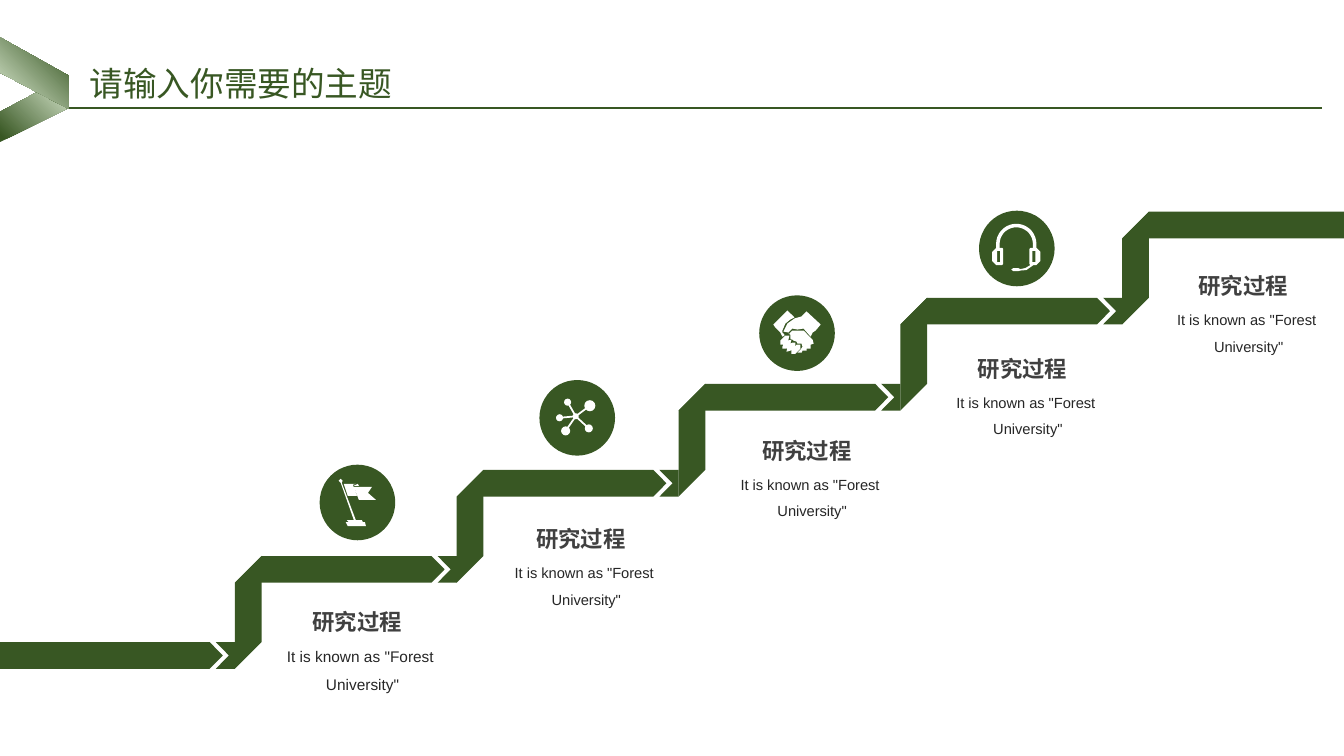
import math

import pptx
import pptx.dml.color
import pptx.enum.shapes
import pptx.enum.text
import pptx.oxml.ns
import pptx.util
from lxml import etree

RGBColor = pptx.dml.color.RGBColor
GREEN = RGBColor(0x38, 0x57, 0x23)
PALE_GREEN = RGBColor(0xE2, 0xF0, 0xD9)
WHITE = RGBColor(0xFF, 0xFF, 0xFF)
HEADING_GREY = RGBColor(0x40, 0x40, 0x40)
CAPTION_GREY = RGBColor(0x26, 0x26, 0x26)
CJK_FONT = "Noto Sans CJK SC"

# Staircase grid, in inches
SLIDE_WIDTH, SLIDE_HEIGHT = 13.33, 7.5
COLUMN, ROW = 2.2, 0.854
BAND = 0.265
FIRST_TREAD_LEFT, FIRST_TREAD_TOP = 0.13, 6.37
STEP_COUNT = 5
BADGE = 0.75

# Left and top of each caption; its heading hangs off the same point
CAPTION_PLACES = [(2.7, 6.33), (4.92, 5.51), (7.16, 4.63), (9.3, 3.82), (11.49, 3.0)]

# Icon outlines, in hundredths of an inch from the badge corner
FLAG = [
    [(45, 57), (46, 61), (28, 61), (26, 57), (29, 57), (27, 55), (34, 55), (21, 18),
     (19, 16), (21, 14), (23, 16), (22, 18), (36, 55), (42, 55), (43, 57)],
    [(37, 31), (33, 20), (36, 19), (24, 19), (28, 31)],
    [(34, 22), (39, 35), (56, 35), (48, 28), (52, 22)],
    [(39, 21), (38, 19), (34, 21)],
]
HANDSHAKE = [
    [(20, 36), (18, 34), (16, 32), (14, 29), (28, 15), (35, 22), (31, 24), (26, 28),
     (23, 35), (23, 37), (25, 39), (25, 40), (23, 41), (22, 39), (21, 37)],
    [(44, 35), (33, 35), (30, 38), (29, 38), (31, 39), (31, 43), (33, 44), (34, 45),
     (37, 46), (38, 48), (42, 48), (43, 51), (41, 54), (38, 57), (42, 57), (43, 55),
     (47, 55), (47, 53), (51, 53), (51, 49), (54, 48), (53, 44)],
    [(41, 49), (37, 49), (36, 51), (36, 47), (33, 47), (31, 48), (32, 44), (28, 45),
     (29, 44), (30, 40), (26, 40), (21, 45), (21, 49), (24, 49), (23, 51), (23, 53),
     (27, 53), (28, 52), (27, 56), (31, 55), (32, 54), (32, 58), (36, 58), (41, 53)],
    [(47, 16), (42, 21), (35, 23), (28, 28), (24, 36), (29, 37), (33, 33), (38, 34),
     (44, 33), (51, 41), (53, 37), (56, 35), (61, 29)],
]
EAR_CUP = [(17, 37), (23, 37), (24, 38), (24, 53), (23, 54), (17, 54), (13, 50), (13, 41)]
EAR_SLOT = [(18, 40), (18, 51), (21, 51), (21, 40)]
MICROPHONE = [(51, 54), (46, 57), (41, 58), (39, 57), (34, 57), (32, 58.5), (34, 60),
              (39, 60), (41, 59.5), (47, 59), (54, 54)]
NETWORK_HUB = (36, 36, 3)
NETWORK_NODES = [(50, 25.5, 5.5), (49, 48, 4), (26, 50.5, 4.5), (20, 37.5, 3.5), (28, 22, 3.5)]


def paint(shape, color):
    shape.shadow.inherit = False
    shape.fill.solid()
    shape.fill.fore_color.rgb = color
    shape.line.fill.background()


def add_outline(slide, contours, color=GREEN):
    """Draw closed polygons, given in inches, as one shape."""
    contours = [[(pptx.util.Inches(x), pptx.util.Inches(y)) for x, y in contour]
                for contour in contours]
    builder = slide.shapes.build_freeform(*contours[0][0])
    for index, contour in enumerate(contours):
        if index:
            builder.move_to(*contour[0])
        builder.add_line_segments(contour[1:], close=True)
    shape = builder.convert_to_shape()
    paint(shape, color)
    return shape


def add_disc(slide, center_x, center_y, radius, color):
    disc = slide.shapes.add_shape(
        pptx.enum.shapes.MSO_SHAPE.OVAL,
        *map(pptx.util.Inches, (center_x - radius, center_y - radius, 2 * radius, 2 * radius)))
    paint(disc, color)


def add_line(slide, start, end, color, width):
    line = slide.shapes.add_connector(
        pptx.enum.shapes.MSO_CONNECTOR.STRAIGHT, *map(pptx.util.Inches, (*start, *end)))
    line.line.color.rgb = color
    line.line.width = pptx.util.Pt(width)
    etree.SubElement(line._element.spPr, pptx.oxml.ns.qn("a:effectLst"))


def write_text(shape, lines, *, size, color, font="Arial", bold=False, spacing=1.0,
               align=pptx.enum.text.PP_ALIGN.LEFT, inset=(0.1, 0.05)):
    frame = shape.text_frame
    frame.word_wrap = True
    frame.vertical_anchor = pptx.enum.text.MSO_ANCHOR.TOP
    frame.margin_left = frame.margin_right = pptx.util.Inches(inset[0])
    frame.margin_top = frame.margin_bottom = pptx.util.Inches(inset[1])
    frame.text = "\n".join(lines)
    for paragraph in frame.paragraphs:
        paragraph.alignment = align
        paragraph.line_spacing = spacing
        for run in paragraph.runs:
            run.font.name = font
            run.font.size = pptx.util.Pt(size)
            run.font.bold = bold
            run.font.color.rgb = color
            east_asian = etree.SubElement(run.font._element, pptx.oxml.ns.qn("a:ea"))
            east_asian.set("typeface", CJK_FONT)


def add_text(slide, left, top, width, height, lines, **text_format):
    box = slide.shapes.add_textbox(*map(pptx.util.Inches, (left, top, width, height)))
    write_text(box, lines, **text_format)


def add_tread(slide, step):
    left = FIRST_TREAD_LEFT + COLUMN * step
    top = FIRST_TREAD_TOP - ROW * step
    middle, bottom = top + BAND / 2, top + BAND
    start = [(left + BAND, top), (left, bottom)] if step else [(0, top), (0, bottom)]
    if step == STEP_COUNT:
        add_outline(slide, [start + [(SLIDE_WIDTH, bottom), (SLIDE_WIDTH, top)]])
        return
    neck, riser = left + 1.95, left + COLUMN
    add_outline(slide, [start + [(neck, bottom), (neck + 0.13, middle), (neck, top)]])
    notch = neck + 0.06
    add_outline(slide, [[(notch, bottom), (notch + 0.13, middle), (notch, top),
                         (riser, top), (riser, bottom)]])


def add_riser(slide, step):
    left = FIRST_TREAD_LEFT + COLUMN * (step + 1)
    right = left + BAND
    bottom = FIRST_TREAD_TOP - ROW * step + BAND
    top = bottom - ROW - BAND
    add_outline(slide, [[(right, bottom - BAND), (left, bottom),
                         (left, top + BAND), (right, top)]])


def headset_contours():
    angles = [math.radians(angle) for angle in range(180, 361, 10)]
    outer, inner = ([(37 + radius * math.cos(angle), 33 + radius * math.sin(angle))
                     for angle in angles] for radius in (20, 16.5))
    band = [(17, 38), *outer, (57, 38), (53.5, 38), *inner[::-1], (20.5, 38)]
    left_cup = [EAR_CUP, EAR_SLOT]
    right_cup = [[(74 - x, y) for x, y in contour] for contour in left_cup]
    return [[band], left_cup, right_cup, [MICROPHONE]]


def add_badge(slide, index, icon):
    left, top = 3.17 + 2.18 * index, 4.61 - 0.84 * index

    def place(x, y):
        return left + x / 100, top + y / 100

    add_disc(slide, left + BADGE / 2, top + BADGE / 2, BADGE / 2, GREEN)
    if icon == "network":
        hub = place(*NETWORK_HUB[:2])
        for x, y, radius in [NETWORK_HUB, *NETWORK_NODES]:
            add_disc(slide, *place(x, y), radius / 100, WHITE)
        for x, y, _ in NETWORK_NODES:
            add_line(slide, hub, place(x, y), WHITE, 1.25)
        return
    for contours in icon:
        add_outline(slide, [[place(x, y) for x, y in contour] for contour in contours], WHITE)


def add_step_text(slide, left, top, caption_size):
    add_text(slide, left, top, 1.75, 0.5, ['It is known as "Forest', ' University"'],
             size=caption_size, color=CAPTION_GREY, spacing=1.5,
             align=pptx.enum.text.PP_ALIGN.CENTER, inset=(0, 0))
    add_text(slide, left + 0.3, top - 0.4, 1.22, 0.4, ["研究过程"],
             size=16, color=HEADING_GREY, bold=True, spacing=1.2)


def add_ribbon(slide, points, angle):
    ribbon = add_outline(slide, [points])
    ribbon.fill.gradient()
    ribbon.fill.gradient_angle = angle
    for stop, position, color in zip(ribbon.fill.gradient_stops, (0.05, 1), (GREEN, PALE_GREEN)):
        stop.position = position
        stop.color.rgb = color


def add_header(slide):
    add_ribbon(slide, [(0, 1.41), (0.68, 1.07), (0.68, 0.75), (0, 1.11)], 45)
    add_ribbon(slide, [(0.68, 1.08), (0, 0.72), (0, 0.37), (0.68, 0.75)], 225)
    add_line(slide, (0.68, 1.07), (13.11, 1.07), GREEN, 1.5)
    title = slide.shapes.title
    title.left, title.top, title.width, title.height = map(
        pptx.util.Inches, (0.79, 0.57, SLIDE_WIDTH / 2, 0.5))
    write_text(title, ["请输入你需要的主题"], size=24, color=GREEN, font=CJK_FONT)


def main():
    presentation = pptx.Presentation()
    presentation.slide_width = pptx.util.Inches(SLIDE_WIDTH)
    presentation.slide_height = pptx.util.Inches(SLIDE_HEIGHT)
    slide = presentation.slides.add_slide(presentation.slide_layouts[5])
    for step in range(STEP_COUNT + 1):
        add_tread(slide, step)
        if step < STEP_COUNT:
            add_riser(slide, step)
    for index, icon in enumerate([[FLAG], "network", [HANDSHAKE], headset_contours()]):
        add_badge(slide, index, icon)
    for index, (left, top) in enumerate(CAPTION_PLACES):
        add_step_text(slide, left, top, 10.5 if index else 11)
    add_header(slide)
    presentation.save("out.pptx")


if __name__ == "__main__":
    main()
